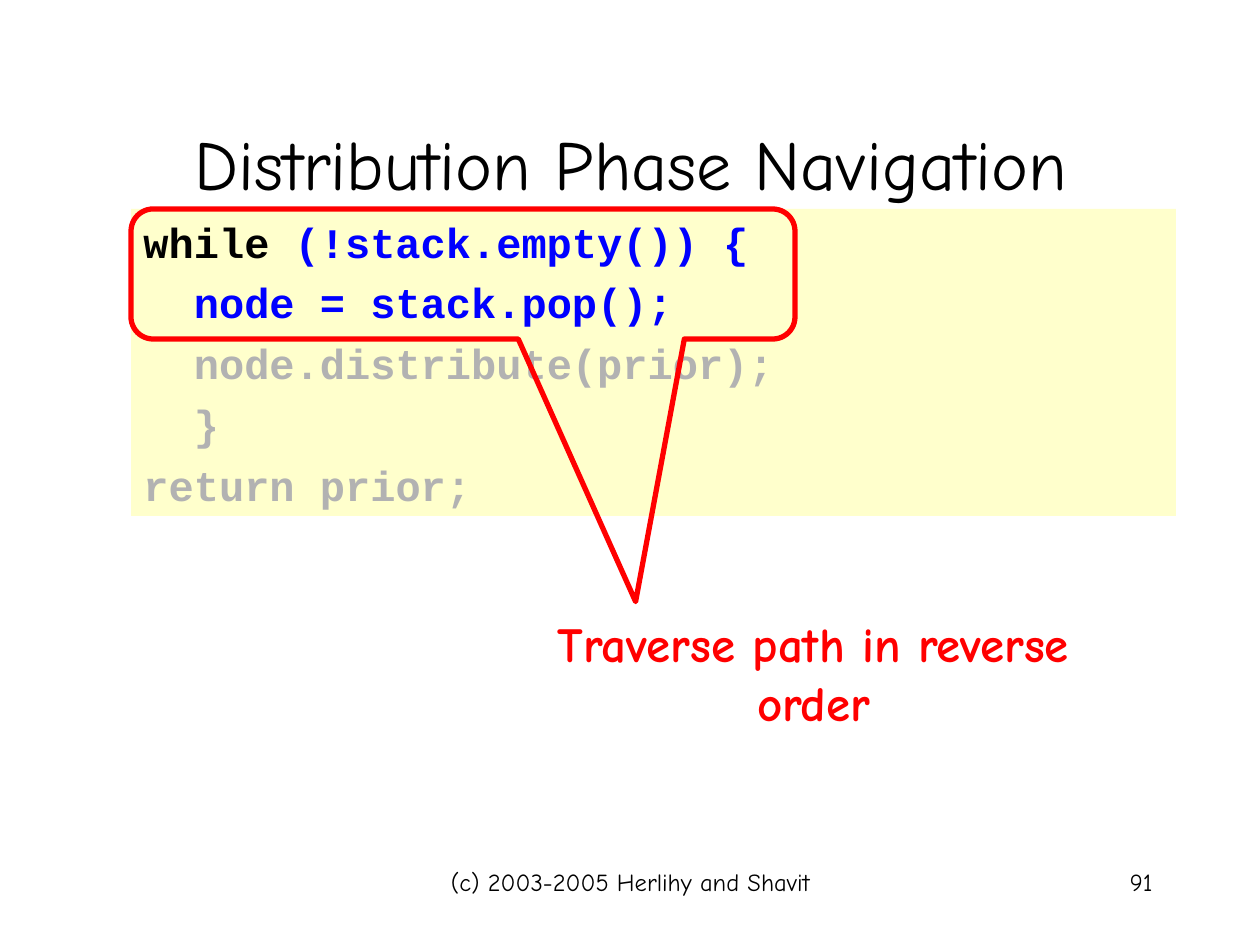
import pptx
import pptx.util
import pptx.dml.color
import pptx.enum.shapes
import pptx.enum.text

Pt = pptx.util.Pt
RGB = pptx.dml.color.RGBColor
Shape = pptx.enum.shapes.MSO_SHAPE
Align = pptx.enum.text.PP_ALIGN
Anchor = pptx.enum.text.MSO_ANCHOR

BLACK = RGB(0x00, 0x00, 0x00)
BLUE = RGB(0x00, 0x00, 0xFF)
GRAY = RGB(0xB2, 0xB2, 0xB2)
RED = RGB(0xFF, 0x00, 0x00)
CREAM = RGB(0xFF, 0xFF, 0xCC)
PX = 914400 // 126


def style(font, name, size, color, bold=False):
    font.name = name
    font.size = Pt(size)
    font.color.rgb = color
    font.bold = bold


deck = pptx.Presentation()
deck.slide_width = 1260 * PX
deck.slide_height = 945 * PX
slide = deck.slides.add_slide(deck.slide_layouts[6])
shapes = slide.shapes

panel = shapes.add_shape(Shape.RECTANGLE, 131 * PX, 209 * PX, 1045 * PX, 307 * PX)
panel.shadow.inherit = False
panel.fill.solid()
panel.fill.fore_color.rgb = CREAM
panel.line.fill.background()
frame = panel.text_frame
frame.word_wrap = True
frame.vertical_anchor = Anchor.TOP
frame.margin_top = 7 * PX
frame.margin_bottom = 0

code = [
    [("while", BLACK), (" (!stack.empty()) {", BLUE)],
    [("  node = stack.pop();", BLUE)],
    [("  node.distribute(prior);", GRAY)],
    [("  }", GRAY)],
    [("return prior;", GRAY)],
]
for row, parts in enumerate(code):
    line = frame.add_paragraph() if row else frame.paragraphs[0]
    line.alignment = Align.LEFT
    if row:
        line.space_before = Pt(6)
    for text, color in parts:
        run = line.add_run()
        run.text = text
        style(run.font, "Courier New", 24, color, True)

bubble = shapes.add_shape(Shape.ROUNDED_RECTANGULAR_CALLOUT,
                          131 * PX, 209 * PX, 664 * PX, 130 * PX)
bubble.shadow.inherit = False
bubble.fill.background()
bubble.line.color.rgb = RED
bubble.line.width = Pt(3)
for spot, value in enumerate((0.26, 2.52, 0.17)):
    bubble.adjustments[spot] = value

labels = [
    ("Distribution Phase Navigation", 95, 84, 1071, 158, 40, BLACK, Align.CENTER, Anchor.MIDDLE, False),
    ("Traverse path in reverse order", 544, 607, 539, 131, 28, RED, Align.CENTER, Anchor.TOP, True),
    ("(c) 2003-2005 Herlihy and Shavit", 431, 861, 399, 63, 14, BLACK, Align.CENTER, Anchor.TOP, False),
    ("91", 903, 861, 262, 63, 14, BLACK, Align.RIGHT, Anchor.TOP, False),
]
for text, left, top, width, height, size, color, align, anchor, bold in labels:
    box = shapes.add_textbox(left * PX, top * PX, width * PX, height * PX)
    frame = box.text_frame
    frame.word_wrap = True
    frame.vertical_anchor = anchor
    frame.text = text
    line = frame.paragraphs[0]
    line.alignment = align
    style(line.runs[0].font, "Comic Neue", size, color, bold)

deck.save("out.pptx")
